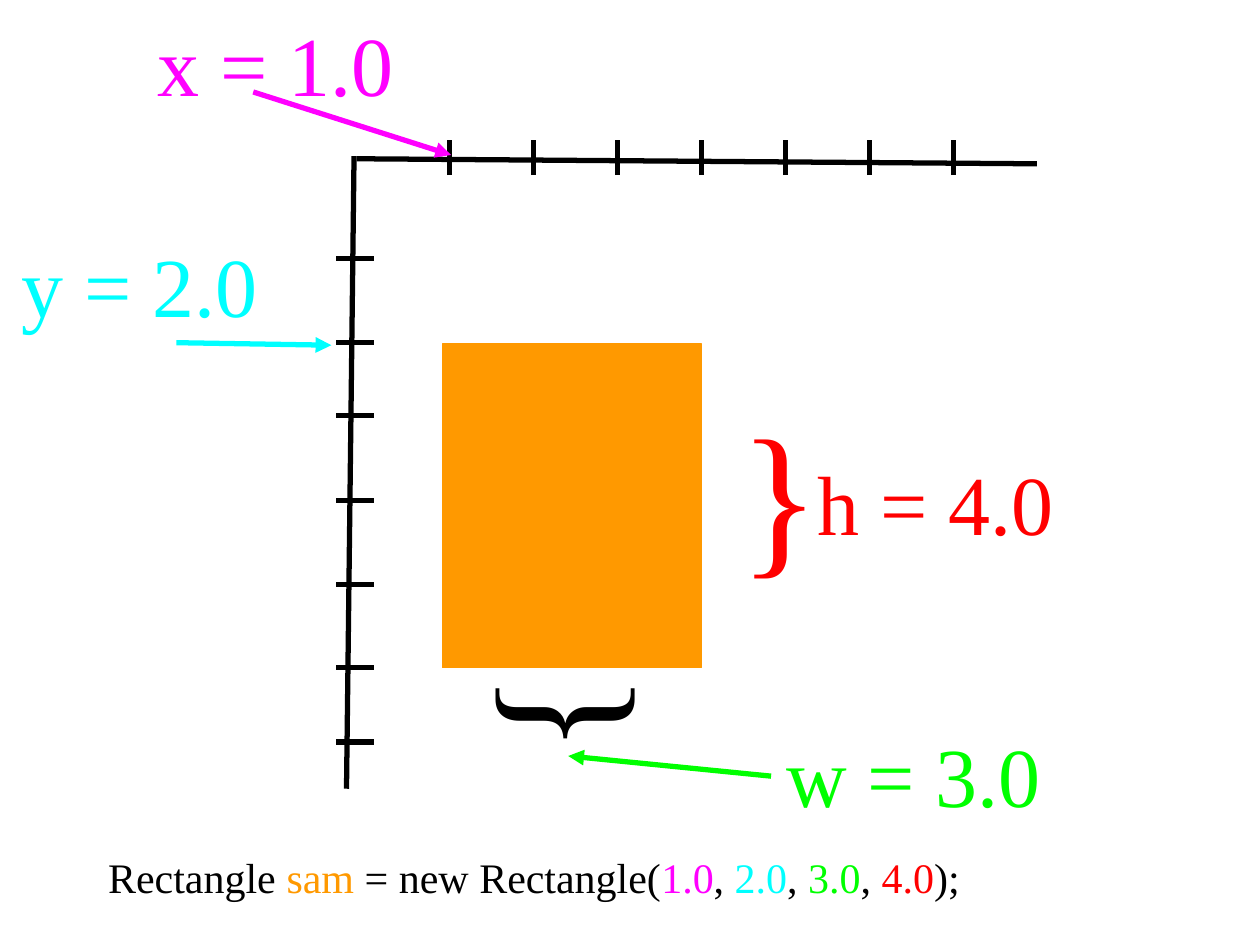
import pptx
import pptx.util
import pptx.dml.color
import pptx.enum.shapes
import pptx.enum.text
import pptx.oxml
import pptx.oxml.ns
from pptx.util import Inches

RGBColor = pptx.dml.color.RGBColor
BLACK = RGBColor(0x00, 0x00, 0x00)
ORANGE = RGBColor(0xFF, 0x99, 0x00)
PINK = RGBColor(0xFF, 0x00, 0xFF)
CYAN = RGBColor(0x00, 0xFF, 0xFF)
GREEN = RGBColor(0x00, 0xFF, 0x00)
RED = RGBColor(0xFF, 0x00, 0x00)
FONT = "Times New Roman"


def add_line(slide, start, end, color=BLACK, arrow=False):
    """Draw a straight line, with an arrowhead at its end if asked."""
    line = slide.shapes.add_connector(
        pptx.enum.shapes.MSO_CONNECTOR.STRAIGHT,
        *(Inches(v) for v in start + end))
    line.line.color.rgb = color
    line.line.width = pptx.util.Pt(3)
    qn = pptx.oxml.ns.qn
    props = line._element.spPr
    if arrow:
        head = props.find(qn("a:ln")).makeelement(
            qn("a:tailEnd"), {"type": "triangle"})
        props.find(qn("a:ln")).append(head)
    props.append(props.makeelement(qn("a:effectLst"), {}))


def add_text(slide, box, runs, size, top=0.1, turn=0):
    """Add a text box made of (text, color) runs."""
    shape = slide.shapes.add_textbox(*(Inches(v) for v in box))
    shape.rotation = turn
    frame = shape.text_frame
    frame.word_wrap = True
    frame.vertical_anchor = pptx.enum.text.MSO_ANCHOR.TOP
    frame.margin_left = frame.margin_right = Inches(0.1)
    frame.margin_top, frame.margin_bottom = Inches(top), Inches(0.1)
    for text, color in runs:
        run = frame.paragraphs[0].add_run()
        run.text = text
        run.font.name = FONT
        run.font.size = pptx.util.Pt(size)
        run.font.color.rgb = color


def add_axes(slide):
    """Draw both axes and their ticks."""
    add_line(slide, (2.81, 1.24), (2.75, 6.26))
    add_line(slide, (2.83, 1.26), (8.23, 1.3))
    for i in range(7):
        x = 3.57 + i * 2 / 3
        add_line(slide, (x, 1.39), (x, 1.11))
    for y in (2.05, 2.72, 3.3, 3.97, 4.64, 5.3, 5.89):
        add_line(slide, (2.67, y), (2.97, y))


def add_rect(slide, box, color):
    """Draw a filled rectangle."""
    rect = slide.shapes.add_shape(
        pptx.enum.shapes.MSO_SHAPE.RECTANGLE, *(Inches(v) for v in box))
    rect.shadow.inherit = False
    rect.fill.solid()
    rect.fill.fore_color.rgb = color
    rect.line.color.rgb = color
    rect.line.width = pptx.util.Pt(0.75)


def main():
    """Build the slide and save it."""
    deck = pptx.Presentation()
    deck.slide_width, deck.slide_height = Inches(10), Inches(7.5)
    slide = deck.slides.add_slide(deck.slide_layouts[6])

    add_axes(slide)
    add_rect(slide, (3.51, 2.73, 2.06, 2.57), ORANGE)

    code = [("Rectangle ", BLACK), ("sam", ORANGE),
            (" = new Rectangle(", BLACK), ("1.0", PINK), (", ", BLACK),
            ("2.0", CYAN), (", ", BLACK), ("3.0", GREEN), (", ", BLACK),
            ("4.0", RED), (");", BLACK)]
    add_text(slide, (0.76, 6.66, 8.03, 0.94), code, 24)

    add_text(slide, (5.77, 2.98, 0.66, 0.94), [("} ", RED)], 96)
    add_text(slide, (4.8, 5.27, 0.99, 0.94), [("}", BLACK)], 96,
             top=0.32, turn=90)

    arrows = [((2.01, 0.73), (3.58, 1.23), PINK),
              ((1.4, 2.72), (2.63, 2.74), CYAN),
              ((6.12, 6.16), (4.51, 6), GREEN)]
    for start, end, color in arrows:
        add_line(slide, start, end, color, arrow=True)

    labels = [("x = 1.0", 1.15, 0, 2.59, PINK),
              ("y = 2.0", 0.07, 1.75, 2.59, CYAN),
              ("w = 3.0", 6.14, 5.64, 2.46, GREEN),
              ("h = 4.0", 6.39, 3.48, 2.21, RED)]
    for text, left, top, width, color in labels:
        add_text(slide, (left, top, width, 0.94), [(text, color)], 48)

    deck.save("out.pptx")


main()
